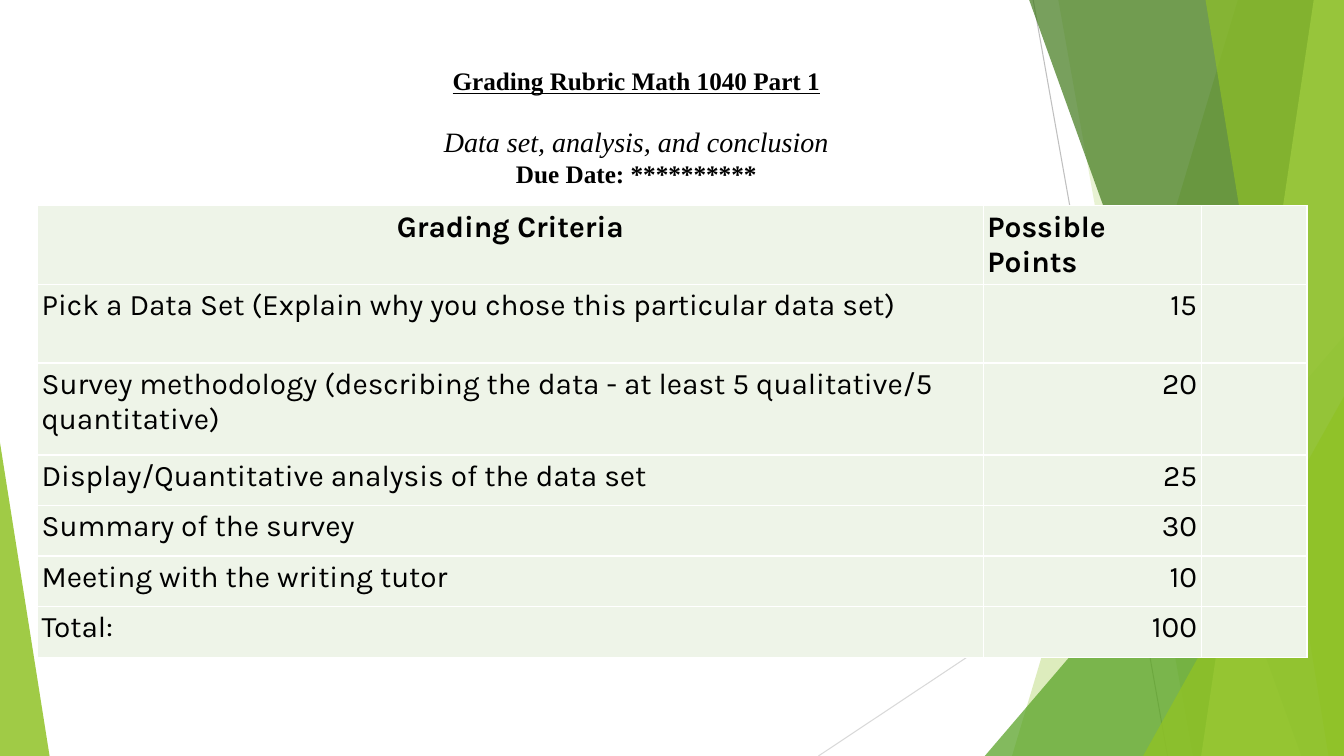
from dataclasses import dataclass
from lxml.etree import SubElement as Sub
from pptx import Presentation
from pptx.dml.color import RGBColor as RGB
from pptx.enum.shapes import MSO_CONNECTOR as Conn, MSO_SHAPE as Shape
from pptx.enum.text import MSO_ANCHOR as Anchor, MSO_AUTO_SIZE as Auto, PP_ALIGN as Align
from pptx.oxml.ns import qn
from pptx.util import Inches, Pt

COLS, ROWS = 80, 45  # grid of the slide


@dataclass(frozen=True)
class Theme:
    ink: str = "000000"
    cell: str = "EEF4E8"
    edge: str = "FFFFFF"
    gray: str = "BFBFBF"
    pale: str = "D9D9D9"
    green: str = "90C226"
    leaf: str = "54A021"
    dark: str = "3F7819"
    lime: str = "C0E474"
    serif: str = "Times New Roman"
    sans: str = "Karla"
    head: float = 18
    sub: float = 20
    body: float = 21.3
    gap: float = 20.7
    rule: float = 0.75
    grid: float = 1
    pad: float = 0.25


class Board:
    def __init__(self, deck, theme):
        self.theme = theme
        self.unit = deck.slide_width / COLS
        self.slide = deck.slides.add_slide(deck.slide_layouts[5])
        self.shapes = self.slide.shapes

    def at(self, *cells):
        return [round(cell * self.unit) for cell in cells]

    def font(self, para, face, size, bold=False, italic=False, under=False):
        font = para.font
        font.name, font.size = face, Pt(size)
        font.bold, font.italic, font.underline = bold, italic, under
        font.color.rgb = RGB.from_string(self.theme.ink)

    def paint(self, shape, color, alpha):
        shape.shadow.inherit = False
        shape.line.fill.background()
        shape.fill.solid()
        shape.fill.fore_color.rgb = RGB.from_string(color)
        tint = shape._element.spPr.find(".//" + qn("a:srgbClr"))
        Sub(tint, qn("a:alpha"), val=str(alpha * 1000))

    def line(self, start, end, color):
        line = self.shapes.add_connector(Conn.STRAIGHT, *self.at(*start, *end))
        line.line.color.rgb = RGB.from_string(color)
        line.line.width = Pt(self.theme.rule)
        Sub(line._element.spPr, qn("a:effectLst"))

    def band(self, top, foot, color, alpha):
        """Full-height band from a slanted left side to the right edge."""
        form = self.shapes.build_freeform(*self.at(top, 0), scale=1.0)
        corners = [(COLS, 0), (COLS, ROWS), (foot, ROWS)]
        form.add_line_segments([self.at(*spot) for spot in corners], close=True)
        self.paint(form.convert_to_shape(), color, alpha)

    def wedge(self, left, top, wide, apex, color, alpha):
        """Triangle standing on the foot of the slide."""
        box = self.at(left, top, wide, ROWS - top)
        shape = self.shapes.add_shape(Shape.ISOSCELES_TRIANGLE, *box)
        shape.adjustments[0] = apex
        self.paint(shape, color, alpha)

    def title(self, box, lines):
        hold = self.shapes.title
        hold.left, hold.top, hold.width, hold.height = self.at(*box)
        frame = hold.text_frame
        frame.word_wrap, frame.auto_size = True, Auto.NONE
        frame.vertical_anchor = Anchor.TOP
        for i, (text, size, gap, style) in enumerate(lines):
            para = frame.add_paragraph() if i else frame.paragraphs[0]
            para.text, para.alignment = text, Align.CENTER
            para.space_before = Pt(gap)
            self.font(para, self.theme.serif, size, **style)

    def cell(self, cell, text, align, bold):
        theme = self.theme
        pad = round(theme.pad * self.unit)
        cell.margin_left = cell.margin_right = pad
        cell.margin_top = cell.margin_bottom = pad
        props = cell._tc.get_or_add_tcPr()
        for side in "LRTB":
            edge = Sub(props, qn("a:ln" + side), w=str(Pt(theme.grid)))
            Sub(Sub(edge, qn("a:solidFill")), qn("a:srgbClr"), val=theme.edge)
        cell.fill.solid()
        cell.fill.fore_color.rgb = RGB.from_string(theme.cell)
        para = cell.text_frame.paragraphs[0]
        para.text, para.alignment = text, align
        self.font(para, theme.sans, theme.body, bold)

    def table(self, left, top, wide, high, data):
        box = self.at(left, top, sum(wide), sum(high))
        table = self.shapes.add_table(len(high), len(wide), *box).table
        table.first_row = table.horz_banding = False
        for col, size in zip(table.columns, self.at(*wide)):
            col.width = size
        for row, size in zip(table.rows, self.at(*high)):
            row.height = size
        for i, texts in enumerate(data):
            aligns = (Align.LEFT, Align.RIGHT) if i else (Align.CENTER, Align.LEFT)
            for j, align in enumerate((*aligns, Align.LEFT)):
                text = texts[j] if j < len(texts) else ""
                self.cell(table.cell(i, j), text, align, i == 0)


def main():
    deck = Presentation()
    deck.slide_width, deck.slide_height = Inches(13.333), Inches(7.5)
    look = Theme()
    board = Board(deck, look)

    # Green backdrop, back to front
    board.line((61.5, 0), (69.5, ROWS), look.gray)
    board.line((COLS, 24.2), (48.72, ROWS), look.pale)
    board.band(73.68, 60.24, look.green, 30)
    board.band(63, 71, look.green, 20)
    board.wedge(58.62, 20, 21.38, 1, look.leaf, 72)
    board.band(61.26, 77.46, look.dark, 70)
    board.band(78.2, 71.5, look.lime, 70)
    board.band(71.76, 79.08, look.green, 65)
    board.wedge(68.04, 23.6, 11.96, 1, look.green, 80)
    board.wedge(0, 26.35, 2.95, 0, look.green, 85)

    # Rubric table
    board.table(2.23, 12.25, [56.3, 12.97, 6.3], [4.68, 4.68, 5.47] + [3.01] * 4, [
        ("Grading Criteria", "Possible Points"),
        ("Pick a Data Set (Explain why you chose this particular data set)", "15"),
        ("Survey methodology (describing the data - at least 5 qualitative/5 quantitative)", "20"),
        ("Display/Quantitative analysis of the data set", "25"),
        ("Summary of the survey", "30"),
        ("Meeting with the writing tutor", "10"),
        ("Total:", "100"),
    ])

    # Heading
    board.title((17.88, 3.6, 40, 8.1), [
        ("Grading Rubric Math 1040 Part 1", look.head, 0, {"bold": True, "under": True}),
        ("Data set, analysis, and conclusion", look.sub, look.gap, {"italic": True}),
        ("Due Date: **********", look.head, 0, {"bold": True}),
    ])

    deck.save("out.pptx")


if __name__ == "__main__":
    main()
